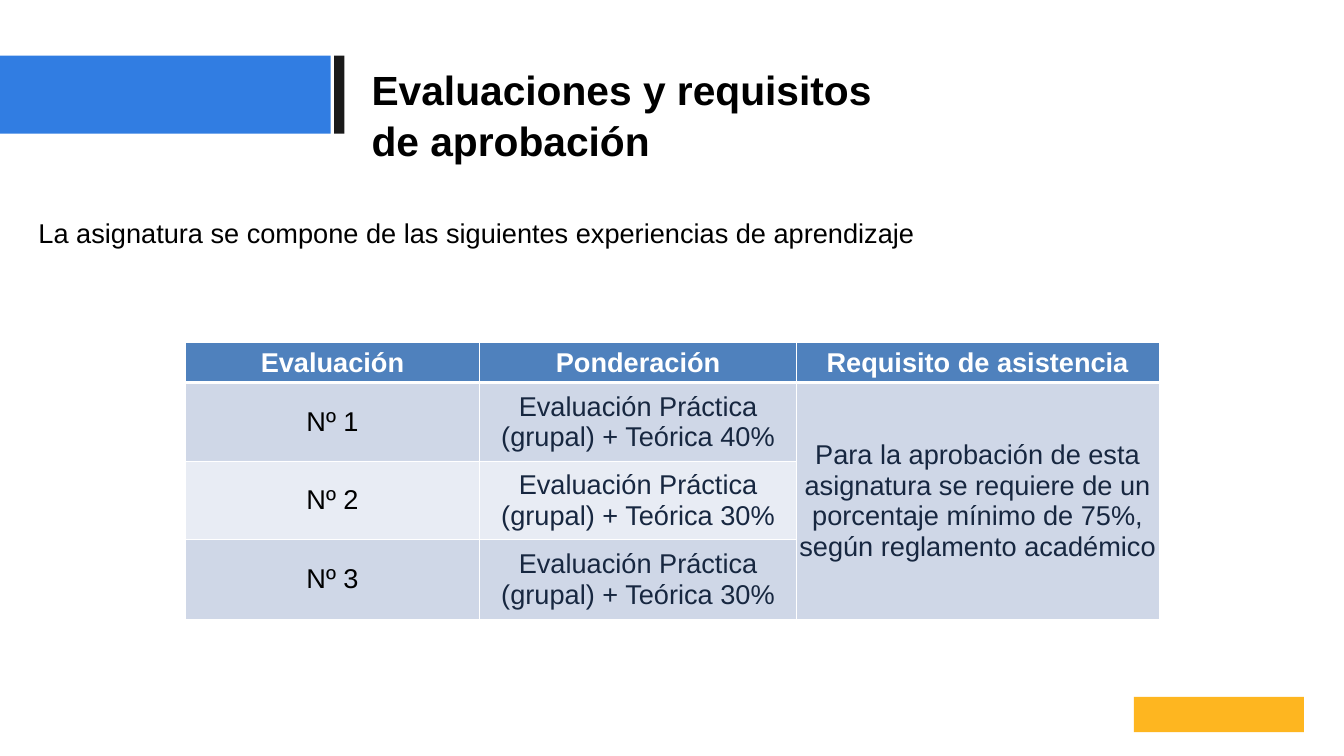
from pptx import Presentation
from pptx.dml.color import RGBColor
from pptx.enum.shapes import MSO_SHAPE
from pptx.enum.text import MSO_ANCHOR, PP_ALIGN
from pptx.oxml import parse_xml
from pptx.oxml.ns import nsdecls
from pptx.util import Cm, Pt

TITLE = "Evaluaciones y requisitos de aprobación"
INTRO = "La asignatura se compone de las siguientes experiencias de aprendizaje"
HEADERS = ["Evaluación", "Ponderación", "Requisito de asistencia"]
WEIGHTS = [40, 30, 30]
ATTENDANCE = ("Para la aprobación de esta asignatura se requiere de un "
              "porcentaje mínimo de 75%, según reglamento académico")
COL_WIDTHS = [12.24, 13.16, 15.06]
ROW_HEIGHTS = [1.68, 3.28, 3.23, 3.33]

FONT = "Arial"
BLACK = RGBColor(0x00, 0x00, 0x00)
WHITE = RGBColor(0xFF, 0xFF, 0xFF)
BLUE = RGBColor(0x31, 0x7D, 0xE2)
CHARCOAL = RGBColor(0x1A, 0x1A, 0x1A)
YELLOW = RGBColor(0xFE, 0xB6, 0x20)
HEADER_BLUE = RGBColor(0x4F, 0x81, 0xBD)
NAVY = RGBColor(0x17, 0x27, 0x40)
BAND_DARK = RGBColor(0xCF, 0xD7, 0xE7)
BAND_LIGHT = RGBColor(0xE8, 0xEC, 0xF4)


def add_block(s, left, top, width, height, color):
    sp = s.shapes.add_shape(MSO_SHAPE.RECTANGLE, Cm(left), Cm(top), Cm(width), Cm(height))
    sp.fill.solid()
    sp.fill.fore_color.rgb = color
    sp.line.fill.background()
    sp.shadow.inherit = False


def set_font(p, size, color, bold=False):
    p.font.name = FONT
    p.font.size = Pt(size)
    p.font.bold = bold
    p.font.color.rgb = color


def place_text(sp, text, left, top, width, height, size, bold=False):
    sp.left, sp.top, sp.width, sp.height = Cm(left), Cm(top), Cm(width), Cm(height)
    tf = sp.text_frame
    tf.word_wrap = True
    tf.vertical_anchor = MSO_ANCHOR.TOP
    tf.margin_left = tf.margin_top = tf.margin_right = tf.margin_bottom = 0
    tf.text = text
    p = tf.paragraphs[0]
    p.alignment = PP_ALIGN.LEFT
    p.line_spacing = 1.05
    set_font(p, size, BLACK, bold)


def add_borders(cell, widths):
    """Draw white borders; widths are points by side letter."""
    tcPr = cell._tc.get_or_add_tcPr()
    for side, width in widths.items():
        tcPr.append(parse_xml(
            f'<a:ln{side} {nsdecls("a")} w="{Pt(width)}"><a:solidFill>'
            f'<a:srgbClr val="{WHITE}"/></a:solidFill></a:ln{side}>'))


def format_cell(cell, row, col):
    header = row == 0
    # The header is separated from the body by a thicker rule.
    add_borders(cell, {"L": 1, "R": 1, "T": 3 if row == 1 else 1, "B": 3 if header else 1})
    cell.fill.solid()
    cell.fill.fore_color.rgb = HEADER_BLUE if header else BAND_DARK if row % 2 else BAND_LIGHT
    cell.vertical_anchor = MSO_ANCHOR.MIDDLE
    cell.margin_left = cell.margin_top = cell.margin_right = Cm(0.02)
    cell.margin_bottom = 0
    p = cell.text_frame.paragraphs[0]
    p.alignment = PP_ALIGN.CENTER
    set_font(p, 32, WHITE if header else NAVY if col else BLACK, header)


def add_evaluation_table(s):
    rows = [HEADERS] + [
        [f"Nº {n}", f"Evaluación Práctica (grupal) + Teórica {weight}%", ATTENDANCE if n == 1 else ""]
        for n, weight in enumerate(WEIGHTS, 1)]
    table = s.shapes.add_table(len(rows), len(HEADERS), Cm(7.7), Cm(14.22),
                               Cm(sum(COL_WIDTHS)), Cm(sum(ROW_HEIGHTS))).table
    for column, width in zip(table.columns, COL_WIDTHS):
        column.width = Cm(width)
    for row, height in zip(table.rows, ROW_HEIGHTS):
        row.height = Cm(height)
    for i, texts in enumerate(rows):
        for j, text in enumerate(texts):
            cell = table.cell(i, j)
            cell.text = text
            format_cell(cell, i, j)
    table.cell(1, 2).merge(table.cell(len(WEIGHTS), 2))


def main():
    prs = Presentation()
    prs.slide_width, prs.slide_height = Cm(55.85), Cm(31.42)
    s = prs.slides.add_slide(prs.slide_layouts[5])
    add_block(s, 0, 2.31, 13.74, 3.25, BLUE)
    add_block(s, 13.89, 2.31, 0.42, 3.25, CHARCOAL)
    add_block(s, 47.12, 28.96, 7.06, 1.47, YELLOW)
    place_text(s.shapes.title, TITLE, 15.44, 2.59, 21.59, 4.11, 48, bold=True)
    intro = s.shapes.add_textbox(0, 0, 0, 0)
    place_text(intro, INTRO, 1.6, 8.94, 53.64, 1.37, 32)
    add_evaluation_table(s)
    prs.save("out.pptx")


if __name__ == "__main__":
    main()
